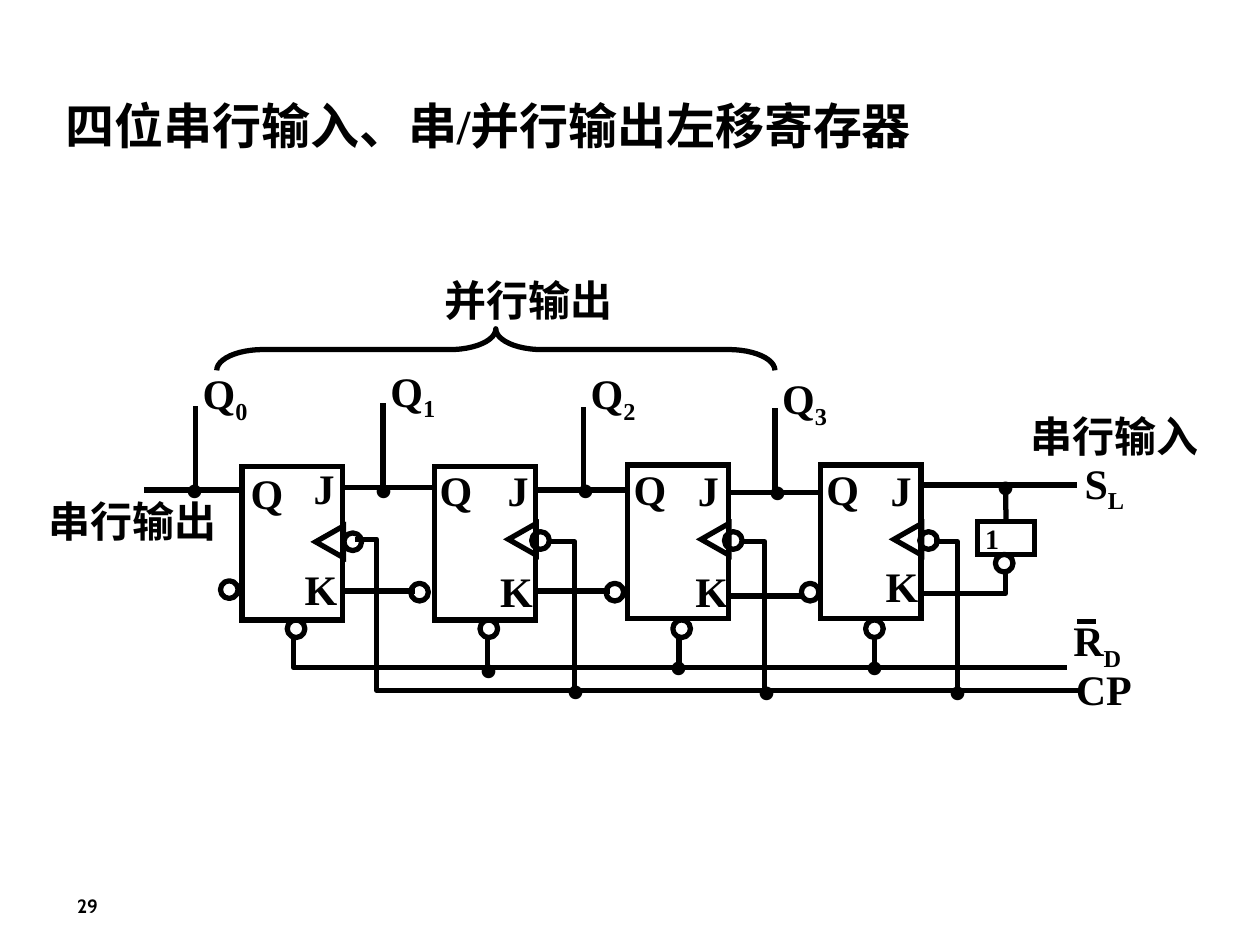
from dataclasses import dataclass

from lxml.etree import SubElement
from pptx import Presentation
from pptx.dml.color import RGBColor
from pptx.enum.shapes import MSO_CONNECTOR, MSO_SHAPE
from pptx.enum.text import MSO_ANCHOR, MSO_AUTO_SIZE, PP_ALIGN
from pptx.oxml.ns import qn
from pptx.util import Inches, Pt

BLACK = RGBColor(0, 0, 0)
FONT = "Times New Roman"
STROKE = Pt(3)
STAGE_LEFT, STAGE_PITCH = 1.92, 1.53
STAGE_WIDTH, STAGE_HEIGHT = 0.8, 1.22
BUBBLE = 0.14
LABEL_HEIGHT = 0.5

Point = tuple[float, float]


@dataclass(frozen=True)
class Stage:
    """One JK flip-flop with its parallel output tap."""
    top: float
    clock_top: float
    q: Point
    j: Point
    k: Point
    clock_bubble: Point
    k_bubble: Point
    output: Point
    tap: Point  # lower end of the output tap
    tap_dot: Point


@dataclass(frozen=True)
class Label:
    text: str
    left: float
    top: float
    width: float
    subscript: str = ""


STAGES = [
    Stage(3.7, 4.19, (1.89, 3.66), (2.39, 3.62), (2.32, 4.42),
          (2.73, 4.23), (1.75, 4.61), (1.51, 2.87), (1.55, 3.87), (1.37, 3.23)),
    Stage(3.7, 4.17, (3.39, 3.64), (3.93, 3.64), (3.87, 4.44),
          (4.22, 4.22), (3.26, 4.63), (3, 2.85), (3.04, 3.85), (2.87, 3.23)),
    Stage(3.69, 4.17, (4.93, 3.63), (5.44, 3.64), (5.42, 4.44),
          (5.75, 4.22), (4.81, 4.63), (4.59, 2.87), (4.63, 3.88), (4.47, 3.23)),
    Stage(3.69, 4.17, (6.46, 3.63), (6.97, 3.64), (6.93, 4.4),
          (7.3, 4.22), (6.36, 4.63), (6.11, 2.91), (6.15, 3.89), (5.99, 3.25)),
]

LABELS = [
    Label("CP", 8.44, 5.22, 0.77),
    Label("R", 8.42, 4.83, 0.77, "D"),
    Label("S", 8.51, 3.58, 0.77, "L"),
    Label("串行输入", 8.08, 3.21, 1.55),
    Label("串行输出", 0.29, 3.88, 1.8),
    Label("并行输出", 3.43, 2.13, 1.8),
]

STRAIGHT_WIRES: list[tuple[Point, Point]] = [
    # Serial data, from output to input
    ((1.92, 3.89), (1.14, 3.89)),
    ((3.43, 3.87), (2.7, 3.87)),
    ((4.98, 3.89), (4.25, 3.89)),
    ((6.53, 3.91), (5.78, 3.91)),
    ((7.33, 3.85), (8.55, 3.85)),
    # K inputs
    ((2.72, 4.69), (3.29, 4.69)),
    ((4.25, 4.69), (4.84, 4.69)),
    ((5.78, 4.73), (6.37, 4.73)),
    # Reset drops and the bar over R
    ((3.87, 5.04), (3.87, 5.33)),
    ((5.39, 5.05), (5.39, 5.3)),
    ((6.94, 5.05), (6.94, 5.28)),
    ((8.55, 4.93), (8.7, 4.93)),
]

BENT_WIRES: list[list[Point]] = [
    # Reset bus, clock bus and clock branches
    [(2.33, 5.05), (2.33, 5.3), (8.47, 5.3)],
    [(2.82, 4.28), (2.99, 4.28), (2.99, 5.48), (8.58, 5.48)],
    [(4.37, 4.3), (4.56, 4.3), (4.56, 5.46)],
    [(5.88, 4.3), (6.07, 4.3), (6.07, 5.48)],
    [(7.41, 4.3), (7.6, 4.3), (7.6, 5.48)],
    # Inverter to the last K input
    [(7.98, 4.53), (7.98, 4.71), (7.31, 4.71)],
]

JUNCTIONS: list[Point] = [
    (4.39, 4.83), (5.91, 4.84), (7.42, 4.84),  # clock bus
    (3.7, 4.66), (5.21, 4.64), (6.76, 4.64),  # reset bus
    (7.8, 3.21),  # serial input
]


def add_run(paragraph, text: str, size: float, font: str = FONT):
    run = paragraph.add_run()
    run.text = text
    run.font.size = Pt(size)
    run.font.name = font
    run.font.bold = True
    run.font.color.rgb = BLACK
    return run


def add_label(slide, label: Label, size: float = 24,
              height: float = LABEL_HEIGHT, font: str = FONT):
    box = slide.shapes.add_textbox(Inches(label.left), Inches(label.top),
                                   Inches(label.width), Inches(height))
    box.text_frame.word_wrap = True
    paragraph = box.text_frame.paragraphs[0]
    add_run(paragraph, label.text, size, font)
    if label.subscript:
        subscript = add_run(paragraph, label.subscript, size, font)
        subscript._r.get_or_add_rPr().set("baseline", "-25000")
    return paragraph


def add_outline(slide, kind: MSO_SHAPE, left: float, top: float,
                width: float, height: float, rotation: float = 0):
    outline = slide.shapes.add_shape(kind, Inches(left), Inches(top),
                                     Inches(width), Inches(height))
    outline.rotation = rotation
    style_outline(outline)
    if kind in (MSO_SHAPE.RECTANGLE, MSO_SHAPE.ISOSCELES_TRIANGLE):
        line = outline._element.spPr.find(qn("a:ln"))
        SubElement(line, qn("a:miter")).set("lim", "800000")
    return outline


def style_outline(outline) -> None:
    outline.shadow.inherit = False
    outline.fill.background()
    outline.line.color.rgb = BLACK
    outline.line.width = STROKE


def add_bubble(slide, left: float, top: float) -> None:
    add_outline(slide, MSO_SHAPE.OVAL, left, top, BUBBLE, BUBBLE)


def add_junction(slide, left: float, top: float) -> None:
    add_label(slide, Label(".", left, top, 0.86), size=48, height=0.9)


def add_wire(slide, start: Point, end: Point):
    wire = slide.shapes.add_connector(
        MSO_CONNECTOR.STRAIGHT, *map(Inches, start + end))
    wire.line.color.rgb = BLACK
    wire.line.width = STROKE
    SubElement(wire._element.spPr, qn("a:effectLst"))
    return wire


def add_bent_wire(slide, points: list[Point]) -> None:
    corners = [(Inches(x), Inches(y)) for x, y in points]
    builder = slide.shapes.build_freeform(*corners[0])
    builder.add_line_segments(corners[1:], close=False)
    style_outline(builder.convert_to_shape())


def add_stage(slide, index: int, stage: Stage) -> None:
    left = STAGE_LEFT + index * STAGE_PITCH
    add_outline(slide, MSO_SHAPE.RECTANGLE, left, stage.top, STAGE_WIDTH, STAGE_HEIGHT)
    add_outline(slide, MSO_SHAPE.ISOSCELES_TRIANGLE,
                left + 0.57, stage.clock_top, 0.25, 0.22, rotation=270)
    for pin, place in (("Q", stage.q), ("J", stage.j), ("K", stage.k)):
        add_label(slide, Label(pin, *place, 0.65))
    for place in (stage.clock_bubble, stage.k_bubble, (left + 0.36, 4.92)):
        add_bubble(slide, *place)
    tap_x, tap_y = stage.tap
    add_wire(slide, stage.tap, (tap_x, tap_y - 0.65))
    add_junction(slide, *stage.tap_dot)
    add_label(slide, Label("Q", *stage.output, 0.77, str(index)))


def main() -> None:
    prs = Presentation()
    prs.slide_width, prs.slide_height = Inches(10), Inches(7.5)
    slide = prs.slides.add_slide(prs.slide_layouts[5])

    # Title and page number
    title = slide.shapes.title
    title.left, title.top = Inches(0.42), Inches(0.71)
    title.width, title.height = Inches(7.34), Inches(0.68)
    title.text_frame.auto_size = MSO_AUTO_SIZE.NONE
    title.text_frame.vertical_anchor = MSO_ANCHOR.TOP
    heading = title.text_frame.paragraphs[0]
    heading.alignment = PP_ALIGN.LEFT
    add_run(heading, "四位串行输入、串/并行输出左移寄存器", 28)
    page = add_label(slide, Label("29", 0.2, 7.05, 0.99), 11, 0.37, "Cabin")
    page.alignment = PP_ALIGN.CENTER

    # Flip-flops and wiring
    for index, stage in enumerate(STAGES):
        add_stage(slide, index, stage)
    for start, end in STRAIGHT_WIRES:
        add_wire(slide, start, end)
    for points in BENT_WIRES:
        add_bent_wire(slide, points)
    for place in JUNCTIONS:
        add_junction(slide, *place)

    # Inverter on the serial input
    inverter = add_outline(slide, MSO_SHAPE.RECTANGLE, 7.76, 4.14, 0.45, 0.26)
    add_bubble(slide, 7.9, 4.4)
    add_wire(slide, (7.98, 4.14), (7.98, 3.84)).begin_connect(inverter, 0)
    add_label(slide, Label("1", 7.72, 4.09, 0.49), 16, 0.37)

    # Brace over the parallel outputs, and signal names
    brace = add_outline(slide, MSO_SHAPE.LEFT_BRACE, 3.77, 0.56, 0.33, 4.43, rotation=90)
    brace.adjustments[0] = 1.11
    for label in LABELS:
        add_label(slide, label)

    prs.save("out.pptx")


if __name__ == "__main__":
    main()
